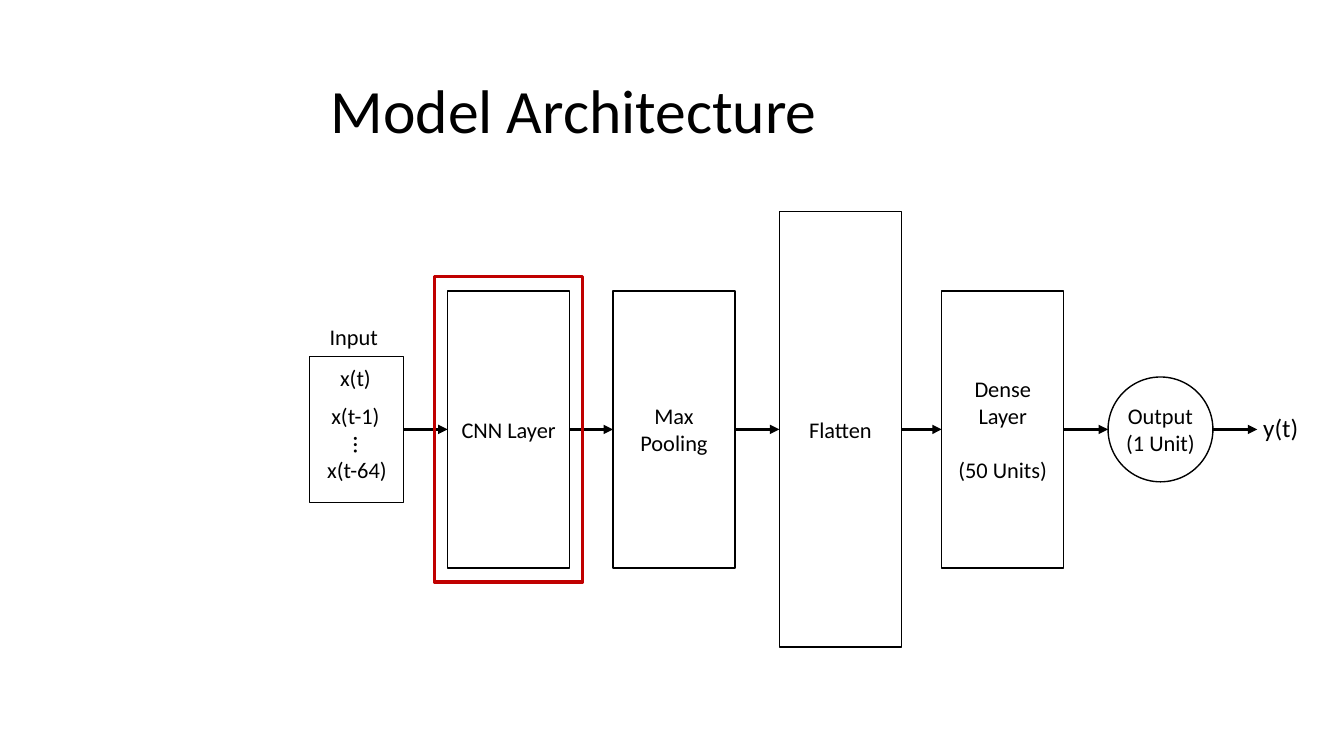
from dataclasses import dataclass
from itertools import pairwise

from lxml.etree import SubElement
from pptx import Presentation
from pptx.dml.color import RGBColor
from pptx.enum.shapes import MSO_CONNECTOR as Connector, MSO_SHAPE as Shape
from pptx.enum.text import MSO_ANCHOR as Anchor, MSO_AUTO_SIZE as AutoSize, PP_ALIGN as Align
from pptx.oxml.ns import qn
from pptx.util import Inches, Pt


@dataclass(frozen=True)
class Theme:
    font: str = "Calibri"
    ink: RGBColor = RGBColor(0, 0, 0)
    paper: RGBColor = RGBColor(255, 255, 255)
    accent: RGBColor = RGBColor(192, 0, 0)
    title: int = 44
    large: int = 18
    body: int = 16
    thin: float = 1
    thick: float = 2.25


class Diagram:
    COLUMNS, ROWS = 133.3, 75

    def __init__(self, deck, theme):
        self.theme = theme
        self.slide = deck.slides.add_slide(deck.slide_layouts[5])
        self.column = deck.slide_width / self.COLUMNS
        self.row = deck.slide_height / self.ROWS

    def place(self, left, top, width, height):
        return (round(left * self.column), round(top * self.row),
                round(width * self.column), round(height * self.row))

    def typeset(self, frame, lines, size, align, gap=0):
        frame.text = "\n".join(lines)
        for paragraph in frame.paragraphs:
            paragraph.alignment = align
            paragraph.font.name = self.theme.font
            paragraph.font.size = Pt(size)
            paragraph.font.color.rgb = self.theme.ink
        if gap:
            frame.paragraphs[-1].space_before = Pt(gap)

    def title(self, words, *cells):
        heading = self.slide.shapes.title
        heading.left, heading.top, heading.width, heading.height = self.place(*cells)
        frame = heading.text_frame
        self.typeset(frame, [words], self.theme.title, Align.LEFT)
        frame.auto_size = AutoSize.NONE
        frame.vertical_anchor = Anchor.MIDDLE
        frame.paragraphs[0].line_spacing = 0.9

    def label(self, words, *cells, size=None, align=Align.LEFT, turn=0):
        box = self.slide.shapes.add_textbox(*self.place(*cells))
        box.rotation = turn
        frame = box.text_frame
        frame.word_wrap = False
        frame.auto_size = AutoSize.SHAPE_TO_FIT_TEXT
        self.typeset(frame, [words], size or self.theme.body, align)

    def block(self, left, middle, width, height, lines=(), kind=Shape.RECTANGLE, gap=0):
        cells = self.place(left, middle - height / 2, width, height)
        block = self.slide.shapes.add_shape(kind, *cells)
        block.shadow.inherit = False
        block.fill.solid()
        block.fill.fore_color.rgb = self.theme.paper
        block.line.color.rgb = self.theme.ink
        block.line.width = Pt(self.theme.thin)
        if lines:
            frame = block.text_frame
            frame.vertical_anchor = Anchor.MIDDLE
            if kind == Shape.OVAL:
                frame.margin_left = frame.margin_right = 0
            self.typeset(frame, lines, self.theme.body, Align.CENTER, gap)
        return block

    def highlight(self, *cells):
        frame = self.block(*cells)
        frame.fill.background()
        frame.line.color.rgb = self.theme.accent
        frame.line.width = Pt(self.theme.thick)

    def arrow(self, source, middle, target=None, length=0):
        start = source.left + source.width
        end = target.left if target else start + round(length * self.column)
        level = round(middle * self.row)
        arrow = self.slide.shapes.add_connector(Connector.STRAIGHT, start, level, end, level)
        arrow.line.color.rgb = self.theme.ink
        arrow.line.width = Pt(self.theme.thick)
        properties = arrow._element.spPr
        SubElement(properties.find(qn("a:ln")), qn("a:tailEnd"), type="triangle")
        SubElement(properties, qn("a:effectLst"))
        if source.auto_shape_type == Shape.RECTANGLE:
            arrow.begin_connect(source, 3)
        if target and target.auto_shape_type == Shape.RECTANGLE:
            arrow.end_connect(target, 1)


def main():
    deck = Presentation()
    deck.slide_width, deck.slide_height = Inches(13.33), Inches(7.5)
    theme = Theme()
    diagram = Diagram(deck, theme)
    axis, layer_width, layer_height = 42.6, 12.1, 27.5

    diagram.title("Model Architecture", 31.8, 4, 92.4, 14.5)

    stages = [diagram.block(30.7, axis, 9.3, 14.5)]
    for left, height, lines, gap in [
        (44.4, layer_height, ["CNN Layer"], 0),
        (60.8, layer_height, ["Max Pooling"], 0),
        (77.3, 43.2, ["Flatten"], 0),
        (93.4, layer_height, ["Dense Layer", "(50 Units)"], 19.5),
    ]:
        stages.append(diagram.block(left, axis, layer_width, height, lines, gap=gap))
    output = diagram.block(109.9, axis, 10.4, 10.4, ["Output", "(1 Unit)"], Shape.OVAL)
    stages.append(output)

    for source, target in pairwise(stages):
        diagram.arrow(source, axis, target)
    diagram.arrow(output, axis, length=4.4)

    diagram.label("Input", 31.7, 31.6, 6.9, 3.7)
    for words, left, top, width in [
        ("x(t)", 32.7, 35.6, 5.1),
        ("x(t-1)", 31.8, 39.4, 6.9),
        ("x(t-64)", 31.4, 44.8, 8),
    ]:
        diagram.label(words, left, top, width, 3.7, align=Align.CENTER)
    diagram.label("…", 34.2, 42.2, 3.8, 4, size=theme.large, turn=90)
    diagram.label("y(t)", 124.3, 40.4, 5.5, 4, size=theme.large)

    diagram.highlight(43.1, axis, 14.7, 30.3)
    deck.save("out.pptx")


if __name__ == "__main__":
    main()
